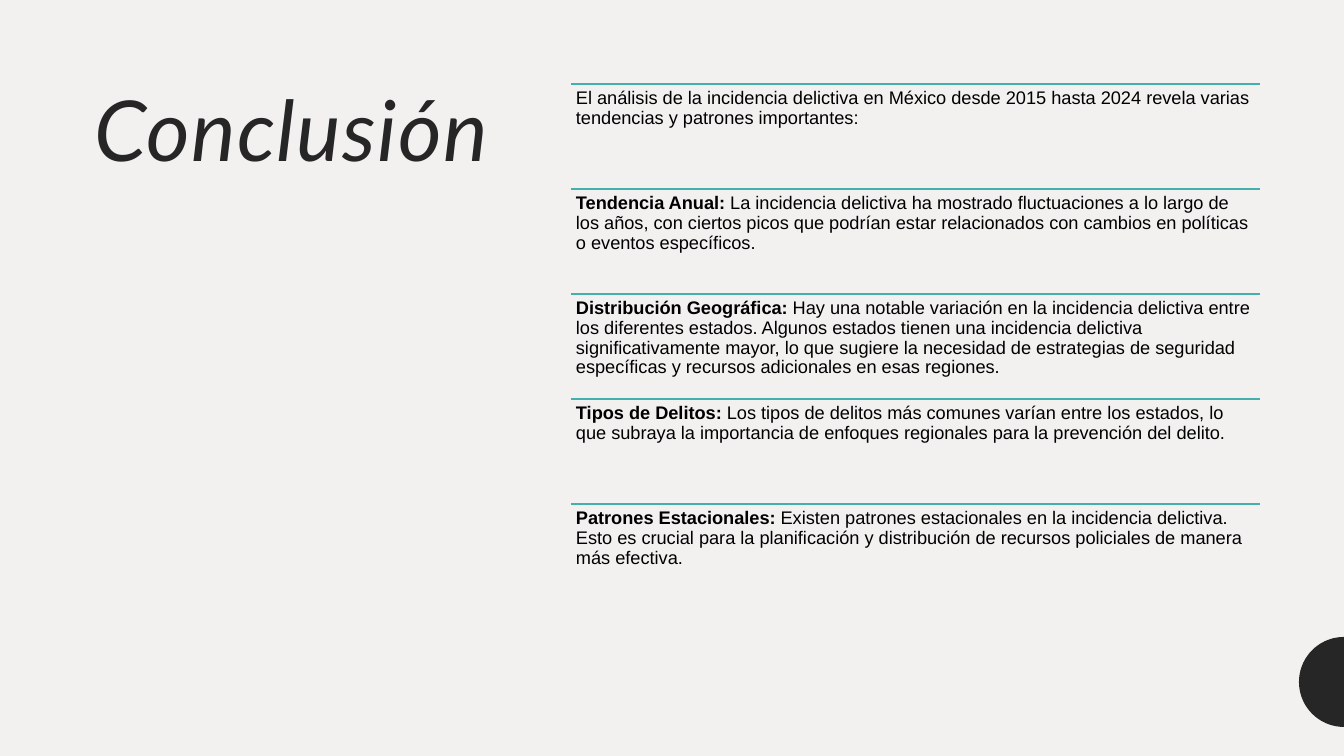
from math import cos, pi, sin

from lxml.etree import SubElement
from pptx import Presentation
from pptx.dml.color import RGBColor
from pptx.enum.text import MSO_ANCHOR, MSO_AUTO_SIZE, PP_ALIGN
from pptx.oxml.ns import qn
from pptx.util import Emu, Pt

EMU_PER_PX = 914400 / 100.8
SLIDE_WIDTH, SLIDE_HEIGHT = 1344, 756

COLORS = {
    "background": "F3F0F0",
    "dark": "262626",
    "rule": "45AFAD",
    "body": "000000",
}

# Findings: bold lead-in and text
FINDINGS = [
    ("", "El análisis de la incidencia delictiva en México desde 2015 hasta 2024 "
         "revela varias tendencias y patrones importantes:"),
    ("Tendencia Anual:",
     " La incidencia delictiva ha mostrado fluctuaciones a lo largo de los años, "
     "con ciertos picos que podrían estar relacionados con cambios en políticas "
     "o eventos específicos."),
    ("Distribución Geográfica:",
     " Hay una notable variación en la incidencia delictiva entre los diferentes "
     "estados. Algunos estados tienen una incidencia delictiva significativamente "
     "mayor, lo que sugiere la necesidad de estrategias de seguridad específicas "
     "y recursos adicionales en esas regiones."),
    ("Tipos de Delitos:",
     " Los tipos de delitos más comunes varían entre los estados, lo que subraya "
     "la importancia de enfoques regionales para la prevención del delito."),
    ("Patrones Estacionales:",
     " Existen patrones estacionales en la incidencia delictiva. Esto es crucial "
     "para la planificación y distribución de recursos policiales de manera más "
     "efectiva."),
]
LIST_LEFT, LIST_TOP, LIST_WIDTH, ROW_HEIGHT = 571, 84, 689, 105


def px(length):
    return Emu(round(length * EMU_PER_PX))


def color(name):
    return RGBColor.from_string(COLORS[name])


def set_background(slide):
    fill = slide.background.fill
    fill.solid()
    fill.fore_color.rgb = color("background")


def add_half_disc(slide, center_x, center_y, radius, steps=36):
    """Draw the left half of a disc, from its top round to its bottom."""
    angles = [pi / 2 + pi * step / steps for step in range(steps + 1)]
    points = [(px(center_x + radius * cos(angle)), px(center_y - radius * sin(angle)))
              for angle in angles]
    builder = slide.shapes.build_freeform(*points[0])
    builder.add_line_segments(points[1:], close=True)
    shape = builder.convert_to_shape()
    shape.shadow.inherit = False
    shape.fill.solid()
    shape.fill.fore_color.rgb = color("dark")
    shape.line.fill.background()


def set_title(slide, text, left, top, width, height):
    title = slide.shapes.title
    title.left, title.top = px(left), px(top)
    title.width, title.height = px(width), px(height)
    frame = title.text_frame
    frame.text = text
    frame.word_wrap = True
    frame.auto_size = MSO_AUTO_SIZE.NONE
    frame.vertical_anchor = MSO_ANCHOR.TOP
    paragraph = frame.paragraphs[0]
    paragraph.alignment = PP_ALIGN.LEFT
    paragraph.line_spacing = 0.9
    font = paragraph.font
    font.name, font.size, font.italic = "Lato", Pt(60), True
    font.color.rgb = color("dark")
    # Letter spacing of 1 pt
    paragraph.runs[0].font._element.set("spc", "100")


def add_rule(slide, left, top, width):
    rule = slide.shapes.add_connector(1, px(left), px(top), px(left + width), px(top))
    rule.line.color.rgb = color("rule")
    rule.line.width = Pt(1)
    SubElement(rule._element.spPr, qn("a:effectLst"))


def add_finding(slide, lead, text, left, top, width, height):
    box = slide.shapes.add_textbox(px(left), px(top), px(width), px(height))
    frame = box.text_frame
    frame.word_wrap = True
    frame.margin_left = frame.margin_right = px(5)
    frame.margin_top = frame.margin_bottom = px(5)
    paragraph = frame.paragraphs[0]
    paragraph.line_spacing = 0.9
    font = paragraph.font
    font.name, font.size = "Arial", Pt(13)
    font.color.rgb = color("body")
    if lead:
        lead_run = paragraph.add_run()
        lead_run.text = lead
        lead_run.font.bold = True
    paragraph.add_run().text = text


def main():
    presentation = Presentation()
    presentation.slide_width = px(SLIDE_WIDTH)
    presentation.slide_height = px(SLIDE_HEIGHT)
    slide = presentation.slides.add_slide(presentation.slide_layouts[5])

    # Backdrop and title
    set_background(slide)
    add_half_disc(slide, SLIDE_WIDTH, 682, 45)
    set_title(slide, "Conclusión", 84, 84, 422, 524)

    # Ruled list of findings
    for row, (lead, text) in enumerate(FINDINGS):
        top = LIST_TOP + row * ROW_HEIGHT
        add_rule(slide, LIST_LEFT, top, LIST_WIDTH)
        add_finding(slide, lead, text, LIST_LEFT, top, LIST_WIDTH, ROW_HEIGHT)

    presentation.save("out.pptx")


if __name__ == "__main__":
    main()
